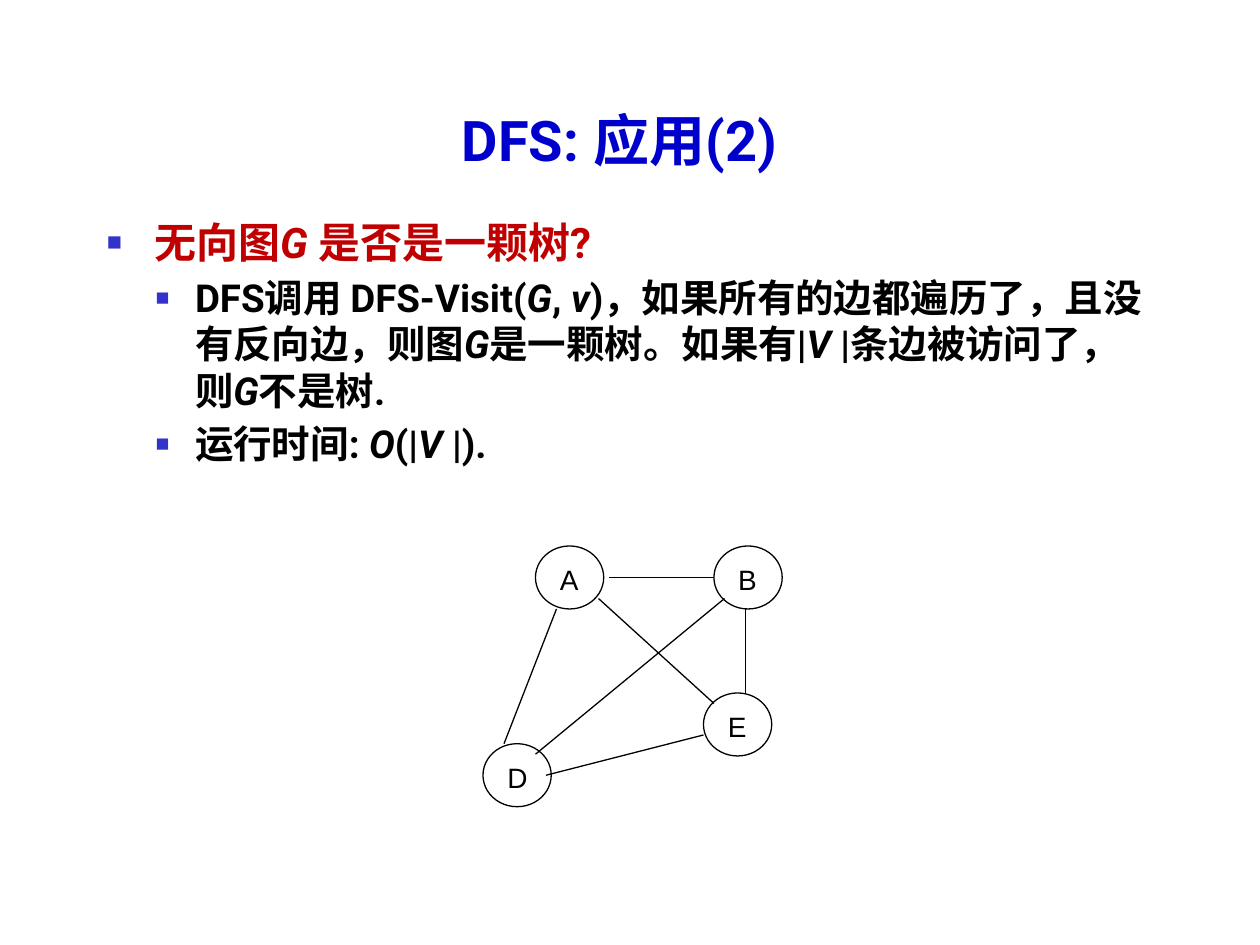
from lxml.etree import SubElement
from pptx import Presentation
from pptx.dml.color import RGBColor
from pptx.enum.shapes import MSO_CONNECTOR as Connector, MSO_SHAPE as Shape
from pptx.enum.text import MSO_ANCHOR as Anchor, PP_ALIGN as Align
from pptx.oxml.ns import qn
from pptx.util import Pt

COLORS = {"title": "0000CC", "question": "C00000", "text": "000000", "bullet": "3333CC"}

# Content: each run is (text, italic)
TITLE = [("DFS: 应用(2)", False)]
BODY = [
    (0, [("无向图", False), ("G ", True), ("是否是一颗树?", False)]),
    (1, [("DFS调用 DFS-Visit(", False), ("G", True), (", ", False), ("v", True),
         (")，如果所有的边都遍历了，且没有反向边，则图", False), ("G", True),
         ("是一颗树。如果有|", False), ("V ", True), ("|条边被访问了，则", False),
         ("G", True), ("不是树.", False)]),
    (1, [("运行时间: ", False), ("O", True), ("(|", False), ("V ", True), ("|).", False)]),
]
LEVELS = [
    dict(size=24, color="question", margin=27, hang=27, before=6),
    dict(size=22, color="text", margin=50.4, hang=22.5, before=4.4),
]

# Graph: node corners, and edges as start and end points
NODES = {"A": (306, 312), "B": (408, 312), "D": (276, 425), "E": (402, 396)}
NODE_W, NODE_H = 39, 36
LABEL_W, LABEL_H, LABEL_DROP = 25.4, 26.6, 1.5
EDGES = [
    (342, 342, 408, 402),  # A-E
    (348, 330, 408, 330),  # A-B
    (426, 396, 426, 348),  # E-B
    (312, 443, 402, 420),  # D-E
    (288, 425, 318, 348),  # D-A
    (306, 431, 414, 342),  # D-B
]


def color(name):
    return RGBColor.from_string(COLORS[name])


def add_box(left, top, width, height, anchor=Anchor.TOP, wrap=True):
    box = page.shapes.add_textbox(Pt(left), Pt(top), Pt(width), Pt(height))
    box.text_frame.word_wrap = wrap
    box.text_frame.vertical_anchor = anchor
    return box.text_frame


def write(para, runs, size, tint, font="Roboto", bold=True, align=Align.LEFT):
    para.alignment = align
    for text, italic in runs:
        span = para.add_run()
        span.text = text
        span.font.name, span.font.size = font, Pt(size)
        span.font.bold, span.font.italic = bold, italic
        span.font.color.rgb = color(tint)


def add_bullet(para, margin, hang):
    props = para._p.get_or_add_pPr()
    props.set("marL", str(Pt(margin)))
    props.set("indent", str(-Pt(hang)))
    tint = SubElement(props, qn("a:buClr"))
    SubElement(tint, qn("a:srgbClr"), val=COLORS["bullet"])
    SubElement(props, qn("a:buSzPct"), val="60000")
    SubElement(props, qn("a:buFont"), typeface="Arial")
    SubElement(props, qn("a:buChar"), char="■")


def outline(shape):
    shape.line.color.rgb = color("text")
    shape.line.width = Pt(0.75)


deck = Presentation()
deck.slide_width, deck.slide_height = Pt(720), Pt(540)
page = deck.slides.add_slide(deck.slide_layouts[6])

# Title
frame = add_box(48, 12, 612, 90, anchor=Anchor.BOTTOM)
write(frame.paragraphs[0], TITLE, 32, "title", align=Align.CENTER)

# Bulleted text
frame = add_box(54, 120, 612, 324)
for index, (level, runs) in enumerate(BODY):
    look = LEVELS[level]
    para = frame.add_paragraph() if index else frame.paragraphs[0]
    para.level = level
    add_bullet(para, look["margin"], look["hang"])
    para.space_before = Pt(look["before"] if index else 0)
    write(para, runs, look["size"], look["color"])

# Graph nodes with their labels
for name, (left, top) in NODES.items():
    node = page.shapes.add_shape(Shape.OVAL, Pt(left), Pt(top), Pt(NODE_W), Pt(NODE_H))
    node.shadow.inherit = False
    node.fill.background()
    outline(node)
    frame = add_box(left + (NODE_W - LABEL_W) / 2,
                    top + (NODE_H - LABEL_H) / 2 + LABEL_DROP,
                    LABEL_W, LABEL_H, wrap=False)
    write(frame.paragraphs[0], [(name, False)], 16, "text", font="Arial", bold=False)

# Graph edges
for ends in EDGES:
    edge = page.shapes.add_connector(Connector.STRAIGHT, *map(Pt, ends))
    outline(edge)
    SubElement(edge._element.spPr, qn("a:effectLst"))

deck.save("out.pptx")
